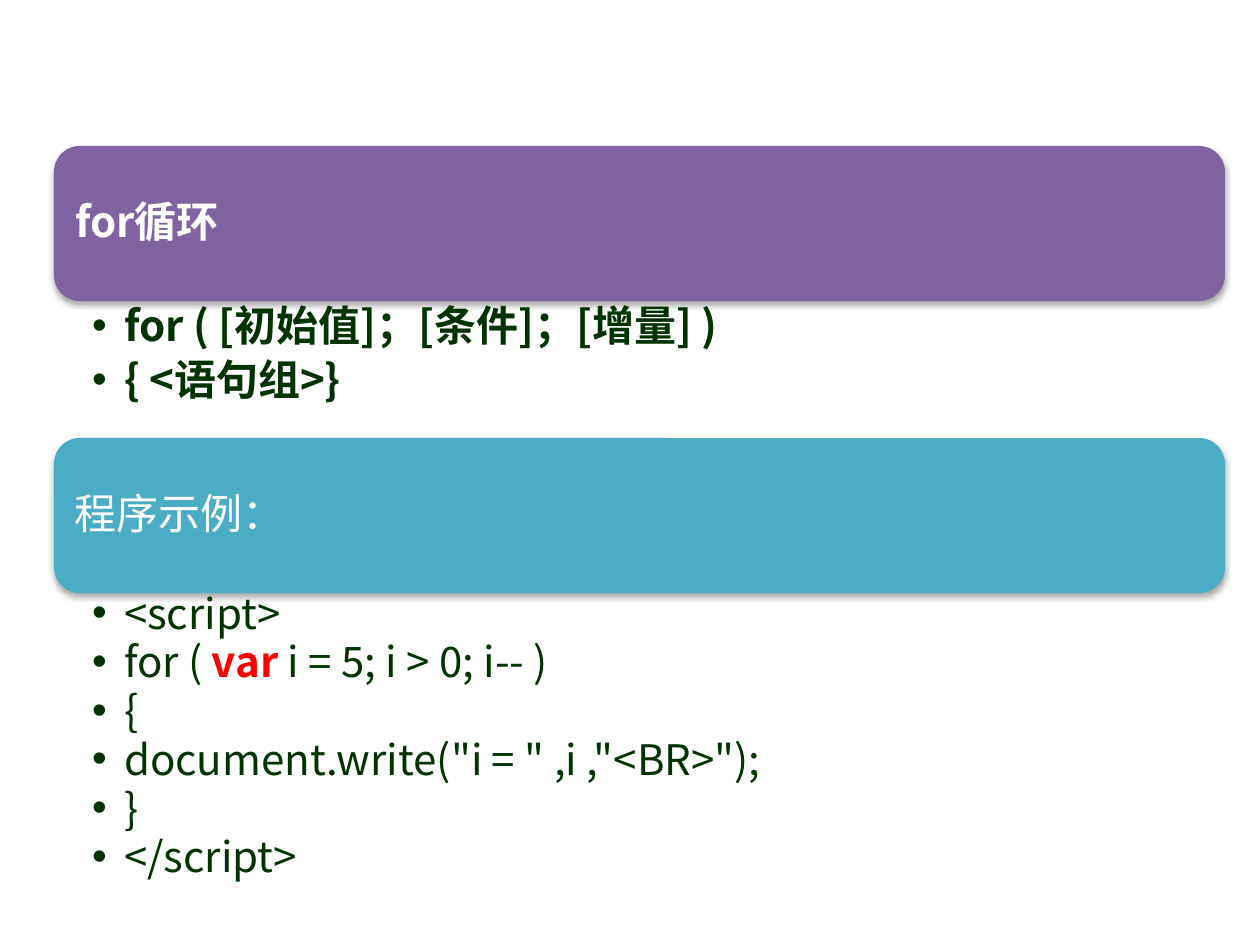
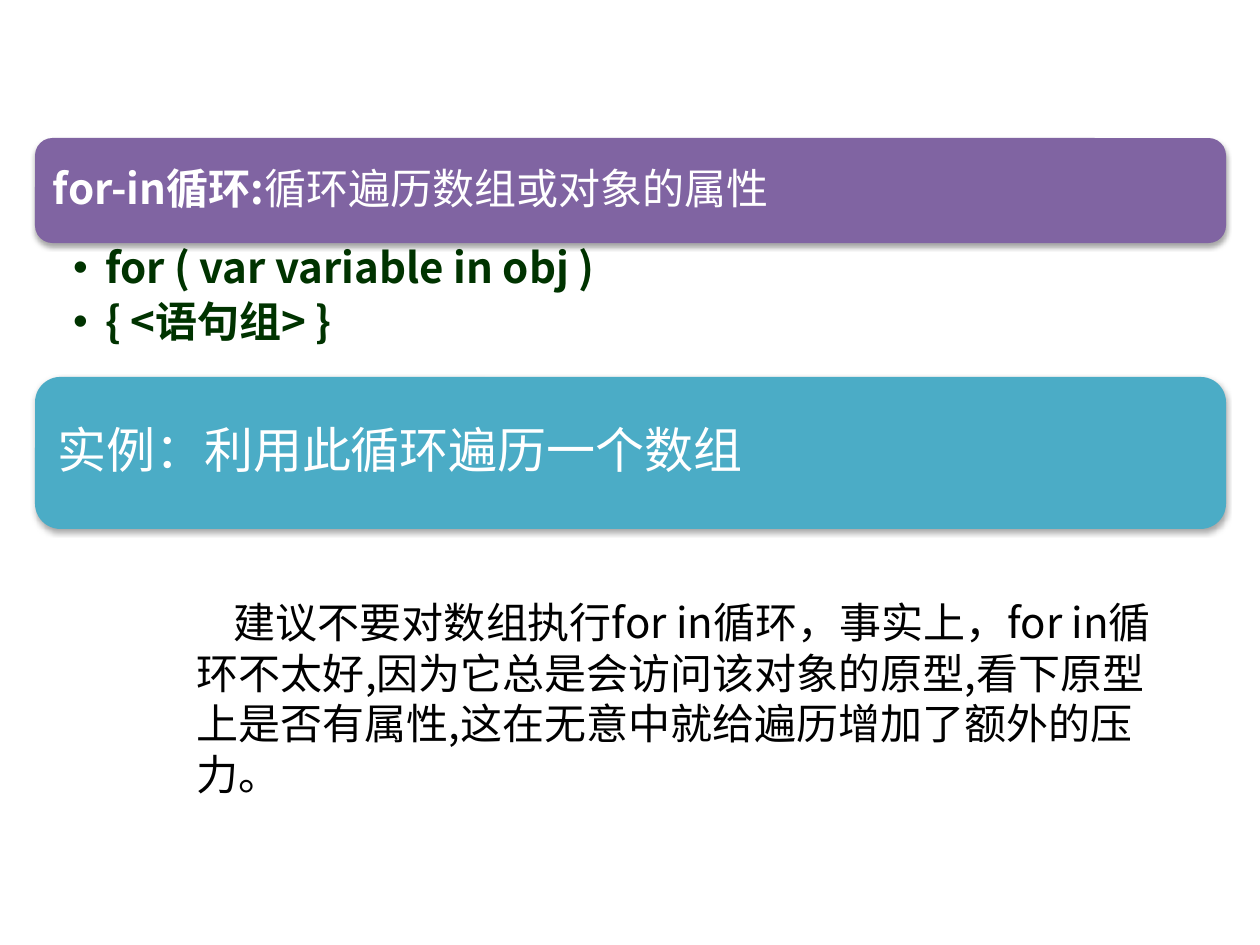
from dataclasses import dataclass

import pptx
import pptx.dml.color
import pptx.enum.shapes
import pptx.enum.text
import pptx.oxml
import pptx.oxml.ns
import pptx.util
from lxml import etree

EMU_PER_PX = 914400 / 126
NOTO, CALIBRI = "Noto Sans CJK SC", "Calibri"
PURPLE, TEAL = "8064A2", "4BACC6"
WHITE, BLACK, DARK_GREEN, RED = "FFFFFF", "000000", "003300", "FF0000"
TITLE_AND_LIST, TITLE_AND_TWO_LISTS = 1, 3
BULLET_INDENT = 32


@dataclass(frozen=True)
class Words:
    text: str
    color: str
    bold: bool = False
    font: str = NOTO
    size: int = 24


@dataclass(frozen=True)
class Box:
    left: int
    top: int
    width: int
    height: int

    def shrunk(self, by: int) -> "Box":
        return Box(self.left + by, self.top + by, self.width - 2 * by, self.height - 2 * by)


@dataclass(frozen=True)
class Section:
    """A coloured heading band with an optional bullet list directly below."""
    fill: str
    heading: list[Words]
    band_height: int
    padding: int = 13
    bullets: tuple[list[Words], ...] = ()
    list_height: int = 0
    line_spacing: float = 0.9


@dataclass(frozen=True)
class Page:
    layout: int
    left: int
    top: int
    width: int
    sections: list[Section]


def px(length: int) -> pptx.util.Emu:
    return pptx.util.Emu(round(length * EMU_PER_PX))


def rgb(color: str) -> pptx.dml.color.RGBColor:
    return pptx.dml.color.RGBColor.from_string(color)


def place(shape, box: Box) -> None:
    shape.left, shape.top = px(box.left), px(box.top)
    shape.width, shape.height = px(box.width), px(box.height)


def set_frame(frame, anchor, margins: tuple[int, int, int, int]) -> None:
    """Margins are left, top, right, bottom."""
    frame.word_wrap = True
    frame.auto_size = pptx.enum.text.MSO_AUTO_SIZE.NONE
    frame.vertical_anchor = anchor
    frame.margin_left, frame.margin_top, frame.margin_right, frame.margin_bottom = map(px, margins)


def write(paragraph, line: list[Words], line_spacing: float = 1.0, after: float = 0) -> None:
    paragraph.alignment = pptx.enum.text.PP_ALIGN.LEFT
    paragraph.line_spacing = line_spacing
    paragraph.space_before = pptx.util.Pt(0)
    paragraph.space_after = pptx.util.Pt(after)
    for words in line:
        run = paragraph.add_run()
        run.text = words.text
        run.font.name = words.font
        run.font.size = pptx.util.Pt(words.size)
        run.font.bold = words.bold
        run.font.color.rgb = rgb(words.color)
        east_asian = etree.SubElement(run.font._element, pptx.oxml.ns.qn("a:ea"))
        east_asian.set("typeface", NOTO)


def indent(paragraph, margin: int, first_line: int):
    properties = paragraph._p.get_or_add_pPr()
    properties.set("marL", str(px(margin)))
    properties.set("indent", str(px(first_line)))
    return properties


def add_shadow(shape) -> None:
    shape.shadow.inherit = False
    effects = shape._element.spPr.find(pptx.oxml.ns.qn("a:effectLst"))
    effects.append(pptx.oxml.parse_xml(
        f'<a:outerShdw {pptx.oxml.ns.nsdecls("a")} blurRad="40000" dist="23000" '
        'dir="5400000" rotWithShape="0"><a:srgbClr val="000000">'
        '<a:alpha val="35000"/></a:srgbClr></a:outerShdw>'))


def draw_band(slide, box: Box, fill: str):
    """Add the band behind the placeholders, so that a title can lie on it."""
    band = slide.shapes.add_shape(
        pptx.enum.shapes.MSO_SHAPE.ROUNDED_RECTANGLE, 0, 0, 0, 0)
    place(band, box)
    band.fill.solid()
    band.fill.fore_color.rgb = rgb(fill)
    band.line.fill.background()
    add_shadow(band)
    slide.shapes._spTree.insert(2, band._element)
    return band


def draw_heading(shape, section: Section) -> None:
    frame = shape.text_frame
    set_frame(frame, pptx.enum.text.MSO_ANCHOR.MIDDLE, (section.padding,) * 4)
    write(frame.paragraphs[0], section.heading, line_spacing=0.9)


def draw_list(placeholder, box: Box, section: Section) -> None:
    place(placeholder, box)
    frame = placeholder.text_frame
    set_frame(frame, pptx.enum.text.MSO_ANCHOR.TOP, (38, 4, 24, 4))
    for number, line in enumerate(section.bullets):
        paragraph = frame.add_paragraph() if number else frame.paragraphs[0]
        properties = indent(paragraph, BULLET_INDENT, -BULLET_INDENT)
        etree.SubElement(properties, pptx.oxml.ns.qn("a:buChar")).set("char", "•")
        write(paragraph, line, section.line_spacing, after=4.8)


def draw_page(presentation, page: Page):
    slide = presentation.slides.add_slide(presentation.slide_layouts[page.layout])
    title = slide.shapes.title
    lists = iter([holder for holder in slide.placeholders
                  if holder.placeholder_format.idx > 0])
    top = page.top
    for number, section in enumerate(page.sections):
        band_box = Box(page.left, top, page.width, section.band_height)
        band = draw_band(slide, band_box, section.fill)
        if number == 0:
            place(title, band_box.shrunk(round(section.band_height * 0.05)))
        draw_heading(band if number else title, section)
        top += section.band_height
        if section.bullets:
            draw_list(next(lists), Box(page.left, top, page.width, section.list_height), section)
        top += section.list_height
    return slide


def draw_advice(slide, box: Box, advice: Words) -> None:
    textbox = slide.shapes.add_textbox(0, 0, 0, 0)
    place(textbox, box)
    set_frame(textbox.text_frame, pptx.enum.text.MSO_ANCHOR.TOP, (13, 6, 13, 6))
    paragraph = textbox.text_frame.paragraphs[0]
    indent(paragraph, 0, 37)
    write(paragraph, [advice])


def code(text: str, bold: bool = False) -> list[Words]:
    return [Words(text, DARK_GREEN, bold)]


FOR_LOOP = Page(TITLE_AND_TWO_LISTS, left=54, top=146, width=1171, sections=[
    Section(PURPLE, [Words("for循环", WHITE, True)], band_height=155, list_height=137,
            bullets=(code("for ( [初始值]；[条件]；[增量] )", True),
                     code("{ <语句组>}", True))),
    Section(TEAL, [Words("程序示例：", WHITE)], band_height=155, list_height=325,
            line_spacing=0.8,
            bullets=(code("<script>"),
                     code("for ( ") + [Words("var", RED, True)] + code(" i = 5; i > 0; i-- )"),
                     code("{"),
                     code('document.write("i = " ,i ,"<BR>");'),
                     code("}"),
                     code("</script>"))),
])

FOR_IN_LOOP = Page(TITLE_AND_LIST, left=35, top=138, width=1191, sections=[
    Section(PURPLE, [Words("for-in循环:", WHITE, True),
                     Words("循环遍历数组或对象的属性", WHITE, font=CALIBRI)],
            band_height=105, list_height=134,
            bullets=(code("for ( var variable in obj )", True),
                     code("{ <语句组> }", True))),
    Section(TEAL, [Words("实例：利用此循环遍历一个数组", WHITE, font=CALIBRI, size=28)],
            band_height=152, padding=15),
])

ADVICE = Words("建议不要对数组执行for in循环，事实上，for in循环不太好,因为它总是会访问该对象的原型,"
               "看下原型上是否有属性,这在无意中就给遍历增加了额外的压力。", BLACK)


def main() -> None:
    presentation = pptx.Presentation()
    presentation.slide_width, presentation.slide_height = px(1260), px(945)
    draw_page(presentation, FOR_LOOP)
    for_in_slide = draw_page(presentation, FOR_IN_LOOP)
    draw_advice(for_in_slide, Box(184, 591, 992, 217), ADVICE)
    presentation.save("out.pptx")


if __name__ == "__main__":
    main()
